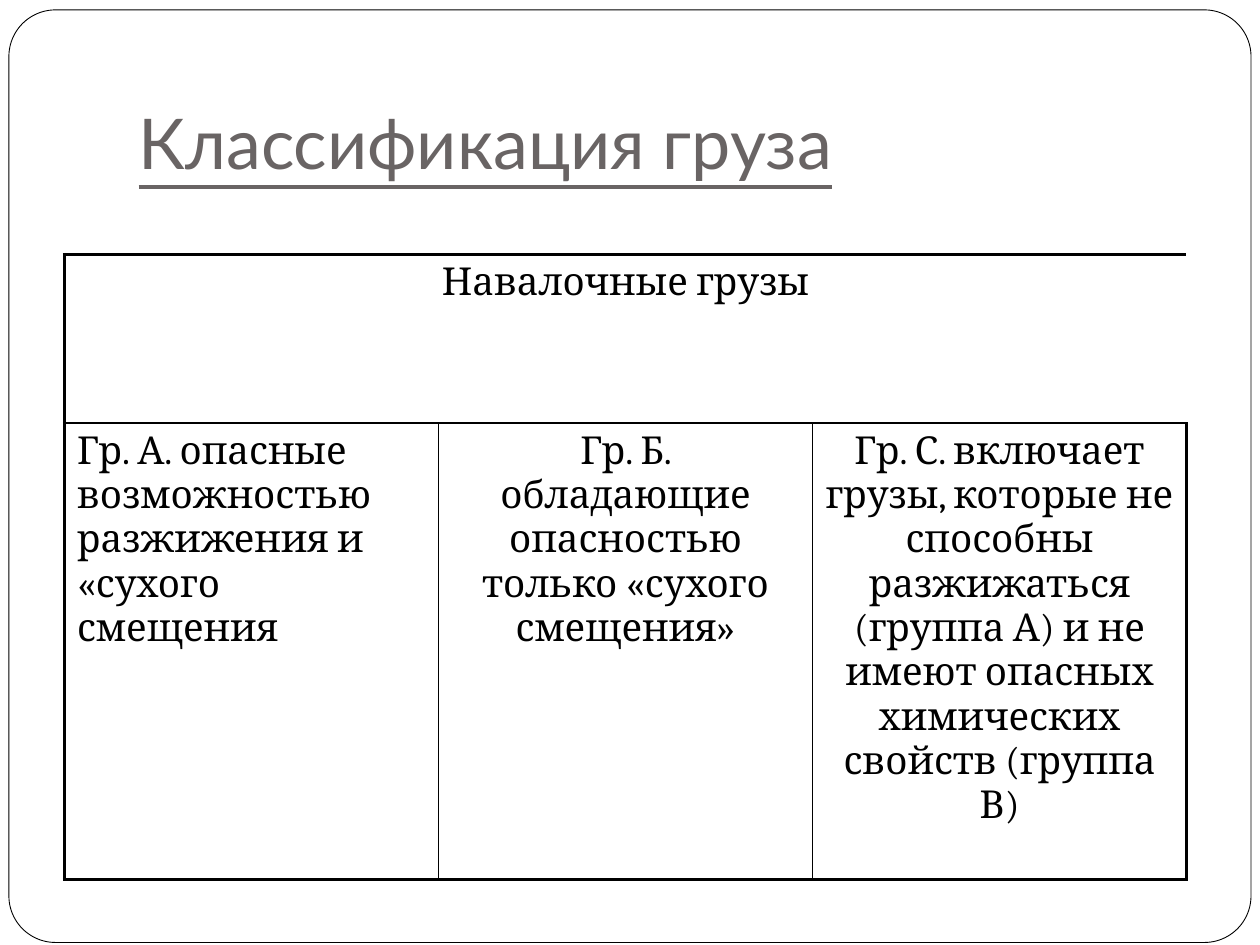
from lxml import etree
from pptx import Presentation
from pptx import util as u
from pptx.dml.color import RGBColor
from pptx.enum import shapes, text
from pptx.oxml.ns import qn

CARGO = "Навалочные грузы"
GROUPS = [
    ("Гр. А. опасные возможностью разжижения и «сухого смещения", text.PP_ALIGN.LEFT),
    ("Гр. Б. обладающие опасностью только «сухого смещения»", text.PP_ALIGN.CENTER),
    ("Гр. С. включает грузы, которые не способны разжижаться (группа А) "
     "и не имеют опасных химических свойств (группа В)", text.PP_ALIGN.CENTER),
]


def rgb(value):
    return RGBColor.from_string(value)


class Deck:
    TITLE_FONT, BODY_FONT = "Lato", "Cambria"
    GREY, BLACK, WHITE = "696464", "000000", "FFFFFF"
    OUTER, INNER = 2.25, 1

    def __init__(self, prs):
        self.s = prs.slides.add_slide(prs.slide_layouts[5])

    def style(self, p, font, size, color, align):
        p.alignment = align
        p.font.name, p.font.size = font, u.Pt(size)
        p.font.color.rgb = rgb(color)

    def frame(self, x, y, w, h):
        """Rounded page border, placed behind everything else."""
        sp = self.s.shapes.add_shape(shapes.MSO_SHAPE.ROUNDED_RECTANGLE,
                                     u.Cm(x), u.Cm(y), u.Cm(w), u.Cm(h))
        sp.adjustments[0] = 0.05
        sp.shadow.inherit = False
        sp.fill.solid()
        sp.fill.fore_color.rgb = rgb(self.WHITE)
        sp.line.color.rgb = rgb(self.BLACK)
        sp.line.width = u.Pt(0.5)
        self.s.shapes.title._element.addprevious(sp._element)

    def title(self, x, y, w, h, words):
        sp = self.s.shapes.title
        sp.left, sp.top, sp.width, sp.height = u.Cm(x), u.Cm(y), u.Cm(w), u.Cm(h)
        tf = sp.text_frame
        tf.text = words
        tf.word_wrap = True
        tf.auto_size = text.MSO_AUTO_SIZE.NONE
        tf.vertical_anchor = text.MSO_ANCHOR.BOTTOM
        tf.margin_bottom = u.Cm(0.25)
        p = tf.paragraphs[0]
        self.style(p, self.TITLE_FONT, 40, self.GREY, text.PP_ALIGN.LEFT)
        p.font.underline = True

    def border(self, cell, side, width):
        ln = etree.SubElement(cell._tc.get_or_add_tcPr(), qn("a:ln" + side),
                              w=str(u.Pt(width)))
        fill = etree.SubElement(ln, qn("a:solidFill"))
        etree.SubElement(fill, qn("a:srgbClr"), val=self.BLACK)

    def table(self, x, y, col_width, row_heights, header, groups):
        """One merged header row above one column per group."""
        rows, cols = len(row_heights), len(groups)
        tbl = self.s.shapes.add_table(rows, cols, u.Cm(x), u.Cm(y), u.Cm(col_width * cols),
                                      u.Cm(sum(row_heights))).table
        for col in tbl.columns:
            col.width = u.Cm(col_width)
        for row, height in zip(tbl.rows, row_heights):
            row.height = u.Cm(height)
        tbl.cell(0, 0).merge(tbl.cell(0, cols - 1))
        for r in range(rows):
            for c in range(cols):
                cell = tbl.cell(r, c)
                at_edge = {"L": c == 0, "R": c == cols - 1, "T": r == 0, "B": r == rows - 1}
                for side, outer in at_edge.items():
                    if outer or r > 0 or side == "B":
                        self.border(cell, side, self.OUTER if outer else self.INNER)
                cell.fill.background()
        self.cell_text(tbl.cell(0, 0), header, text.PP_ALIGN.CENTER)
        for c, (words, align) in enumerate(groups):
            self.cell_text(tbl.cell(1, c), words, align)

    def cell_text(self, cell, words, align):
        cell.text = words
        p = cell.text_frame.paragraphs[0]
        self.style(p, self.BODY_FONT, 22, self.BLACK, align)


def main():
    prs = Presentation()
    prs.slide_width, prs.slide_height = u.Cm(25.4), u.Cm(19.05)
    deck = Deck(prs)
    deck.frame(0.18, 0.2, 25.04, 18.8)
    deck.title(2.54, 0.76, 21.59, 3.18, "Классификация груза")
    deck.table(1.3, 5.13, 7.54, [3.4, 9.2], CARGO, GROUPS)
    prs.save("out.pptx")


if __name__ == "__main__":
    main()
